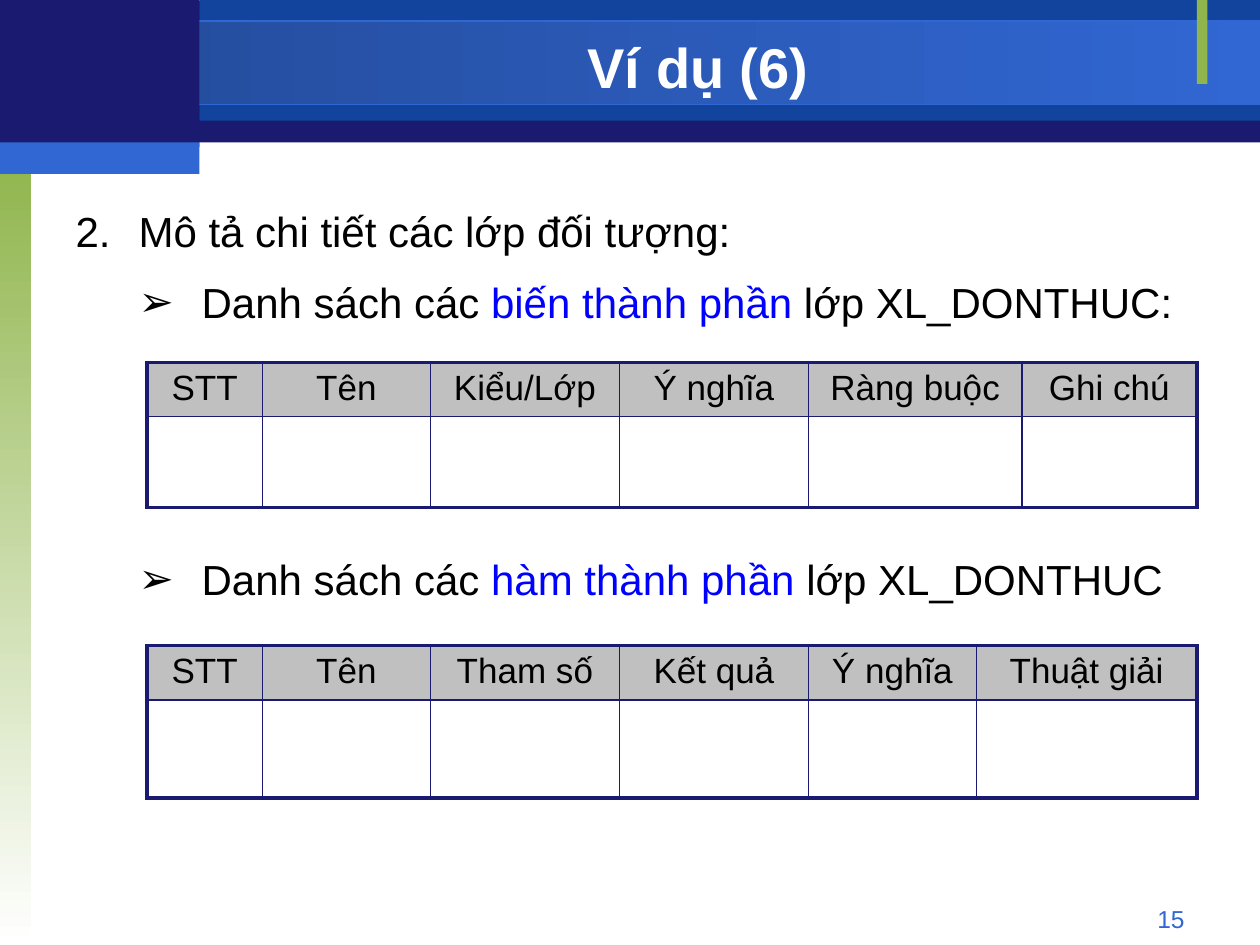
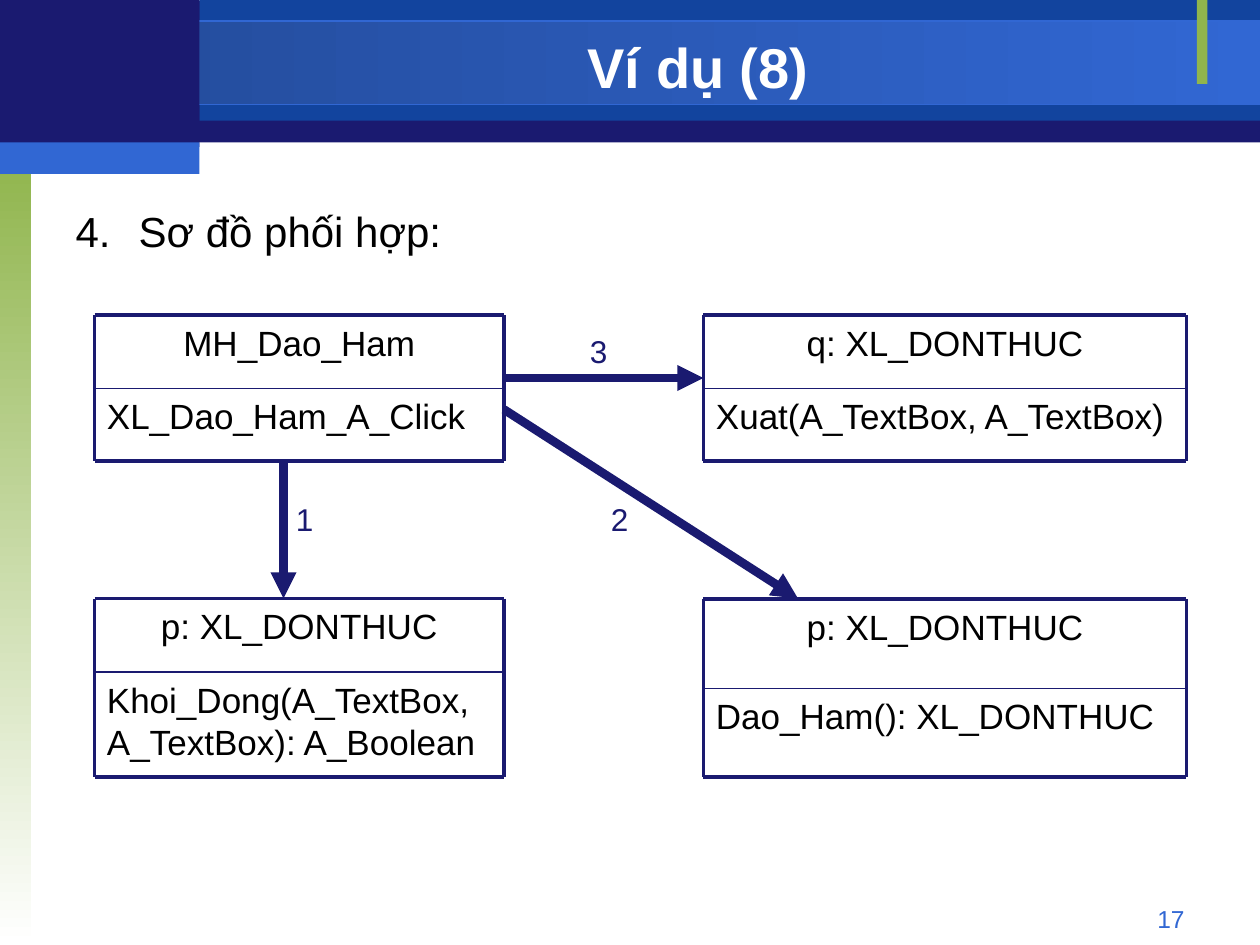
from lxml import etree
from pptx import Presentation
from pptx.dml.color import RGBColor
from pptx.enum.shapes import MSO_CONNECTOR, MSO_SHAPE
from pptx.enum.text import MSO_ANCHOR, MSO_AUTO_SIZE, PP_ALIGN
from pptx.oxml.ns import qn
from pptx.util import Pt

RECTANGLE = MSO_SHAPE.RECTANGLE
STRAIGHT = MSO_CONNECTOR.STRAIGHT
TOP, MIDDLE = MSO_ANCHOR.TOP, MSO_ANCHOR.MIDDLE
NO_FIT, GROW = MSO_AUTO_SIZE.NONE, MSO_AUTO_SIZE.SHAPE_TO_FIT_TEXT
LEFT, CENTER, RIGHT = PP_ALIGN.LEFT, PP_ALIGN.CENTER, PP_ALIGN.RIGHT
JUSTIFY = PP_ALIGN.JUSTIFY

NAVY = RGBColor(0x1A, 0x1A, 0x70)
ROYAL = RGBColor(0x12, 0x44, 0x9E)
STEEL = RGBColor(0x23, 0x4A, 0x97)
BLUE = RGBColor(0x31, 0x67, 0xD3)
GREEN = RGBColor(0x90, 0xB5, 0x4D)
KEYWORD = RGBColor(0x00, 0x00, 0xFF)
GRAY = RGBColor(0xC0, 0xC0, 0xC0)
BLACK = RGBColor(0x00, 0x00, 0x00)
WHITE = RGBColor(0xFF, 0xFF, 0xFF)

FONT = "Arial"
THICK, THIN, ARROW = 2.25, 1, 5
INDENT = 36
HEADER_HEIGHT = 31

# left, top, width, height, fill colours, gradient angle, outline
BANDS = [
    (0, 0.72, 720, 80.64, [NAVY], 0, None),
    (114, 0, 606, 69, [ROYAL], 0, None),
    (0, 12, 720, 47.7, [STEEL, BLUE], 0, BLUE),
    (0, 90, 18, 450, [GREEN, WHITE], 270, None),
    (684, 0, 6, 48, [GREEN], 0, None),
    (0, 0, 114, 84, [NAVY], 0, None),
    (0, 81.36, 114, 18, [BLUE], 0, None),
]


class LectureDeck:
    def __init__(self):
        self.deck = Presentation()
        self.deck.slide_width, self.deck.slide_height = Pt(720), Pt(540)
        self.layout = self.deck.slide_layouts[1]
        self.page = None

    def start_page(self, title, number):
        self.page = self.deck.slides.add_slide(self.layout)
        if len(self.deck.slides) == 1:
            self.add_bands_to_layout()
        self.text_box((516, 513, 168, 19), str(number), 14, BLUE, RIGHT)
        box = self.page.shapes.title
        self.place(box, 114, 16.5, 570, 42)
        box.text_frame.auto_size = NO_FIT
        box.text_frame.vertical_anchor = MIDDLE
        para = box.text_frame.paragraphs[0]
        para.alignment = CENTER
        self.span(para, title, 32, WHITE, bold=True)

    def add_bands_to_layout(self):
        """Draw the bands on the page, then move them behind the layout's placeholders."""
        tree = self.layout.shapes.element
        for index, (left, top, width, height, colors, angle, outline) in enumerate(BANDS):
            band = self.page.shapes.add_shape(
                RECTANGLE, Pt(left), Pt(top), Pt(width), Pt(height))
            band.shadow.inherit = False
            if len(colors) == 1:
                band.fill.solid()
                band.fill.fore_color.rgb = colors[0]
            else:
                band.fill.gradient()
                band.fill.gradient_angle = angle
                for stop, color in zip(band.fill.gradient_stops, colors):
                    stop.color.rgb = color
            if outline is None:
                band.line.fill.background()
            else:
                band.line.color.rgb = outline
                band.line.width = Pt(0.75)
            band.element.nvSpPr.cNvPr.id = 100 + index
            tree.insert(2 + index, band.element)

    def place(self, box, left, top, width, height):
        box.left, box.top, box.width, box.height = Pt(left), Pt(top), Pt(width), Pt(height)

    def span(self, para, text, size, color, bold=False):
        span = para.add_run()
        span.text = text
        span.font.name = FONT
        span.font.size = Pt(size)
        span.font.bold = bold
        span.font.color.rgb = color

    def text_box(self, area, text, size, color, alignment=LEFT, fit=NO_FIT):
        box = self.page.shapes.add_textbox(*map(Pt, area))
        box.text_frame.word_wrap = True
        box.text_frame.auto_size = fit
        para = box.text_frame.paragraphs[0]
        para.alignment = alignment
        self.span(para, text, size, color)

    def outline(self, number, heading, items=()):
        """Fill the body with a numbered heading and (space before, spans) items."""
        body = self.page.placeholders[1]
        self.place(body, 36, 108, 648, 390)
        frame = body.text_frame
        frame.auto_size = NO_FIT
        frame.vertical_anchor = TOP
        para = frame.paragraphs[0]
        self.list_item(para, 0, 0, "buAutoNum", type="arabicPeriod", startAt=str(number))
        self.span(para, heading, 24, BLACK)
        for space, spans in items:
            para = frame.add_paragraph()
            self.list_item(para, 1, space, "buChar", char="➢")
            for text, color in spans:
                self.span(para, text, 24, color)

    def list_item(self, para, level, space, bullet, **attributes):
        para.level = level
        para.alignment = JUSTIFY
        para.line_spacing = 1.2
        para.space_before = Pt(space)
        properties = para._p.get_or_add_pPr()
        properties.set("marL", str(Pt(INDENT * (level + 1))))
        properties.set("indent", str(-Pt(INDENT)))
        color = etree.SubElement(properties, qn("a:buClr"))
        etree.SubElement(color, qn("a:srgbClr"), val=str(BLACK))
        etree.SubElement(properties, qn("a:buFont"), typeface=FONT)
        etree.SubElement(properties, qn(f"a:{bullet}"), **attributes)

    def form_table(self, top, blank_height, columns):
        """Add a table with a header row and one blank row; columns maps name to width."""
        heights = [HEADER_HEIGHT, blank_height]
        table = self.page.shapes.add_table(
            2, len(columns), Pt(84), Pt(top), Pt(sum(columns.values())), Pt(sum(heights))).table
        table.first_row = table.horz_banding = False
        for row, height in zip(table.rows, heights):
            row.height = Pt(height)
        last = len(columns) - 1
        for index, (name, width) in enumerate(columns.items()):
            table.columns[index].width = Pt(width)
            header, blank = table.cell(0, index), table.cell(1, index)
            header.fill.solid()
            header.fill.fore_color.rgb = GRAY
            blank.fill.background()
            para = header.text_frame.paragraphs[0]
            para.alignment = CENTER
            self.span(para, name, 20, BLACK)
            left = THICK if index == 0 else THIN
            right = THICK if index == last else THIN
            self.borders(header, L=left, R=right, T=THICK, B=THIN)
            self.borders(blank, L=left, R=right, T=THIN, B=THICK)

    def borders(self, cell, **widths):
        properties = cell._tc.get_or_add_tcPr()
        for position, (side, width) in enumerate(widths.items()):
            line = etree.Element(qn(f"a:ln{side}"), w=str(Pt(width)))
            fill = etree.SubElement(line, qn("a:solidFill"))
            etree.SubElement(fill, qn("a:srgbClr"), val=str(NAVY))
            properties.insert(position, line)

    def line(self, start, end, width, arrow=False):
        connector = self.page.shapes.add_connector(STRAIGHT, *map(Pt, (*start, *end)))
        connector.line.color.rgb = NAVY
        connector.line.width = Pt(width)
        properties = connector.element.spPr
        if arrow:
            etree.SubElement(properties.find(qn("a:ln")), qn("a:tailEnd"), type="triangle")
        etree.SubElement(properties, qn("a:effectLst"))

    def object_box(self, left, right, top, divider, bottom, name, method):
        width = right - left
        self.text_box((left, divider, width, bottom - divider), method, 20, BLACK)
        self.text_box((left, top, width, divider - top), name, 20, BLACK, CENTER)
        for y, weight in ((top, THICK), (divider, THIN), (bottom, THICK)):
            self.line((left, y), (right, y), weight)
        for x in (left, right):
            self.line((x, top), (x, bottom), THICK)

    def message(self, number, start, end, label):
        """Add a numbered arrow; label is the left top corner of its number."""
        self.line(start, end, ARROW, arrow=True)
        self.text_box((*label, 24, 29), str(number), 18, NAVY, fit=GROW)


def class_details(lecture):
    lecture.start_page("Ví dụ (6)", 15)
    lecture.outline(2, "Mô tả chi tiết các lớp đối tượng:", [
        (6, [("Danh sách các ", BLACK), ("biến thành phần", KEYWORD),
             (" lớp XL_DONTHUC:", BLACK)]),
        (124, [("Danh sách các ", BLACK), ("hàm thành phần", KEYWORD),
               (" lớp XL_DONTHUC", BLACK)]),
    ])
    lecture.form_table(207, 52, {
        "STT": 66, "Tên": 96, "Kiểu/Lớp": 108, "Ý nghĩa": 108, "Ràng buộc": 122, "Ghi chú": 100})
    lecture.form_table(369, 56, {
        "STT": 66, "Tên": 96, "Tham số": 108, "Kết quả": 108, "Ý nghĩa": 96, "Thuật giải": 126})


def collaboration_diagram(lecture):
    lecture.start_page("Ví dụ (8)", 17)
    lecture.outline(4, "Sơ đồ phối hợp:")
    left_column, right_column = (54, 288), (402, 678)
    upper_row = (180, 222, 263.5)
    lecture.object_box(*left_column, *upper_row, "MH_Dao_Ham", "XL_Dao_Ham_A_Click")
    lecture.object_box(*left_column, 342, 384, 444, "p: XL_DONTHUC",
                       "Khoi_Dong(A_TextBox, A_TextBox): A_Boolean")
    lecture.object_box(*right_column, *upper_row, "q: XL_DONTHUC", "Xuat(A_TextBox, A_TextBox)")
    lecture.object_box(*right_column, 342.5, 393.5, 444, "p: XL_DONTHUC",
                       "Dao_Ham(): XL_DONTHUC")
    lecture.message(1, (162, 264), (162, 342), (162, 282))
    lecture.message(2, (288, 234), (456, 342), (342, 282))
    lecture.message(3, (288, 216), (402, 216), (330, 186))


def main():
    lecture = LectureDeck()
    class_details(lecture)
    collaboration_diagram(lecture)
    lecture.deck.save("out.pptx")


if __name__ == "__main__":
    main()
